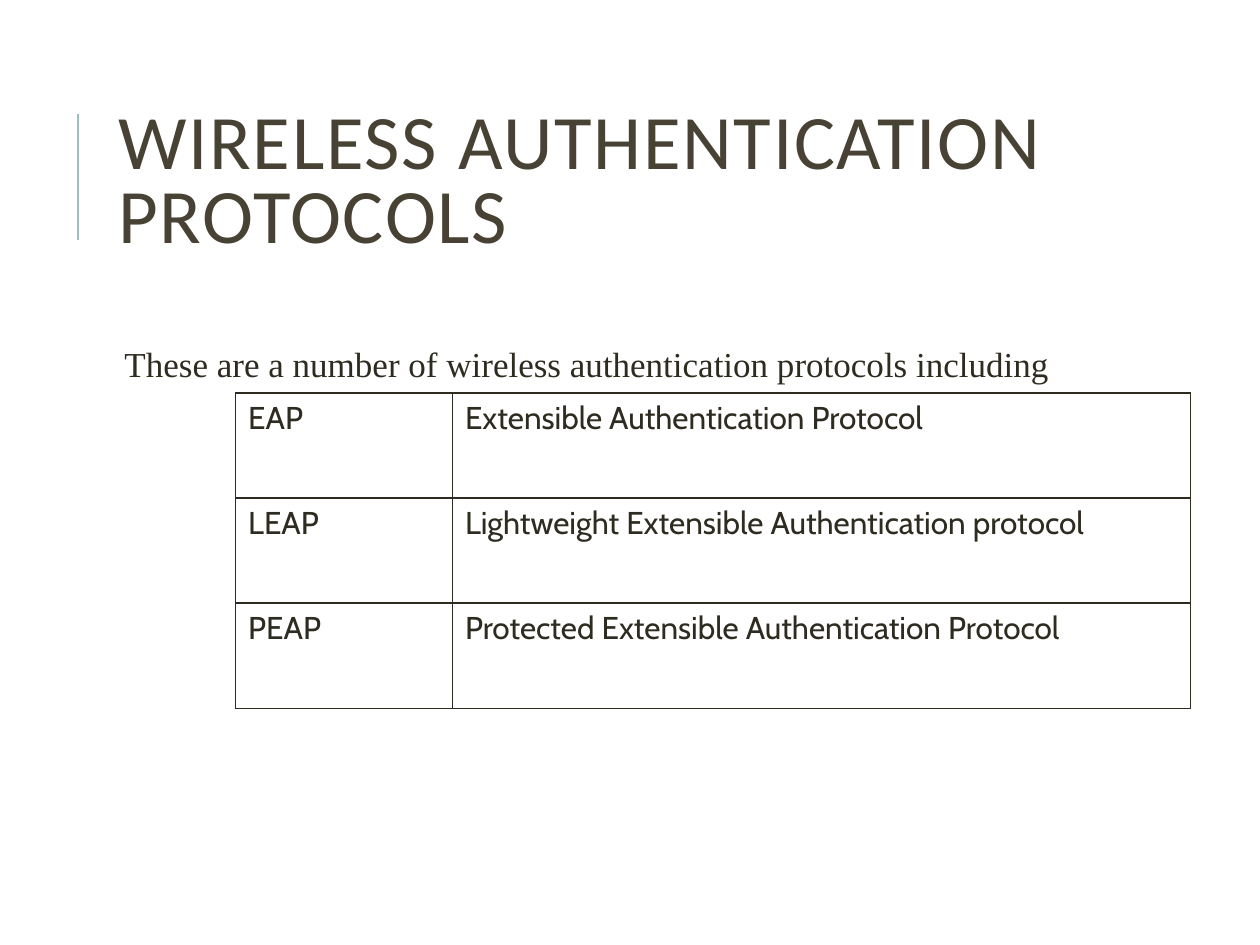
"""Build the slide on wireless authentication protocols."""
from lxml.etree import SubElement
from pptx import Presentation
from pptx.dml.color import RGBColor
from pptx.enum.shapes import MSO_CONNECTOR
from pptx.enum.text import MSO_ANCHOR, PP_ALIGN
from pptx.oxml import parse_xml
from pptx.oxml.ns import nsdecls, qn
from pptx.util import Cm, Pt

THEME = {
    "title": {"name": "Calibri", "size": Pt(44), "color": "474233"},
    "intro": {"name": "Times New Roman", "size": Pt(20), "color": "2E2B21"},
    "table": {"name": "Cabin", "size": Pt(18), "color": "2E2B21"},
    "accent": "9CBEBD",
    "border": "2E2B21",
    "paper": "FFFFFF",
}


def apply_format(target, values):
    for attribute, value in values.items():
        setattr(target, attribute, value)


def write_text(frame, text, role, paragraph_format):
    paragraph = frame.paragraphs[0]
    apply_format(paragraph, paragraph_format)
    run = paragraph.add_run()
    run.text = text
    for attribute, value in THEME[role].items():
        if attribute == "color":
            run.font.color.rgb = RGBColor.from_string(value)
        else:
            setattr(run.font, attribute, value)
    return run


deck = Presentation()
apply_format(deck, {"slide_width": Cm(25.4), "slide_height": Cm(19.05)})
slide = deck.slides.add_slide(deck.slide_layouts[5])

accent_rule = slide.shapes.add_connector(
    MSO_CONNECTOR.STRAIGHT, Cm(1.57), Cm(4.83), Cm(1.57), Cm(2.29))
accent_rule.line.color.rgb = RGBColor.from_string(THEME["accent"])
accent_rule.line.width = Pt(1.5)
SubElement(accent_rule._element.spPr, qn("a:effectLst"))

heading = slide.shapes.title
apply_format(heading, {"left": Cm(2.13), "top": Cm(1.63),
                       "width": Cm(20.24), "height": Cm(4.17)})
apply_format(heading.text_frame, {"word_wrap": True,
                                  "vertical_anchor": MSO_ANCHOR.MIDDLE})
heading_run = write_text(
    heading.text_frame, "WIRELESS AUTHENTICATION PROTOCOLS", "title",
    {"alignment": PP_ALIGN.LEFT, "line_spacing": 0.8})
heading_run.font._element.set("spc", "100")

intro = slide.shapes.add_textbox(Cm(2.13), Cm(6.35), Cm(20.24), Cm(11.18))
apply_format(intro.text_frame, {
    "word_wrap": True, "margin_left": Cm(0.38), "margin_right": Cm(0.13),
    "margin_top": Cm(0.13), "margin_bottom": Cm(0.13)})
write_text(
    intro.text_frame,
    "These are a number of wireless authentication protocols including",
    "intro",
    {"alignment": PP_ALIGN.JUSTIFY, "line_spacing": 1.5, "space_after": Pt(2)})

protocols = [
    ("EAP", "Extensible Authentication Protocol"),
    ("LEAP", "Lightweight Extensible Authentication protocol"),
    ("PEAP", "Protected Extensible Authentication Protocol"),
]
column_widths = [Cm(4.37), Cm(14.88)]
row_height = Cm(2.12)
protocol_table = slide.shapes.add_table(
    len(protocols), len(column_widths), Cm(4.75), Cm(7.92),
    sum(column_widths), row_height * len(protocols)).table
apply_format(protocol_table, {"first_row": False, "horz_banding": False})
for column, width in zip(protocol_table.columns, column_widths):
    column.width = width

for row, entry in zip(protocol_table.rows, protocols):
    row.height = row_height
    for cell, text in zip(row.cells, entry):
        cell.fill.solid()
        cell.fill.fore_color.rgb = RGBColor.from_string(THEME["paper"])
        write_text(cell.text_frame, text, "table", {"alignment": PP_ALIGN.LEFT})
        cell_properties = cell._tc.get_or_add_tcPr()
        for position, edge in enumerate(("lnL", "lnR", "lnT", "lnB")):
            cell_properties.insert(position, parse_xml(
                f'<a:{edge} {nsdecls("a")} w="{Pt(1)}"><a:solidFill>'
                f'<a:srgbClr val="{THEME["border"]}"/></a:solidFill></a:{edge}>'))

deck.save("out.pptx")
